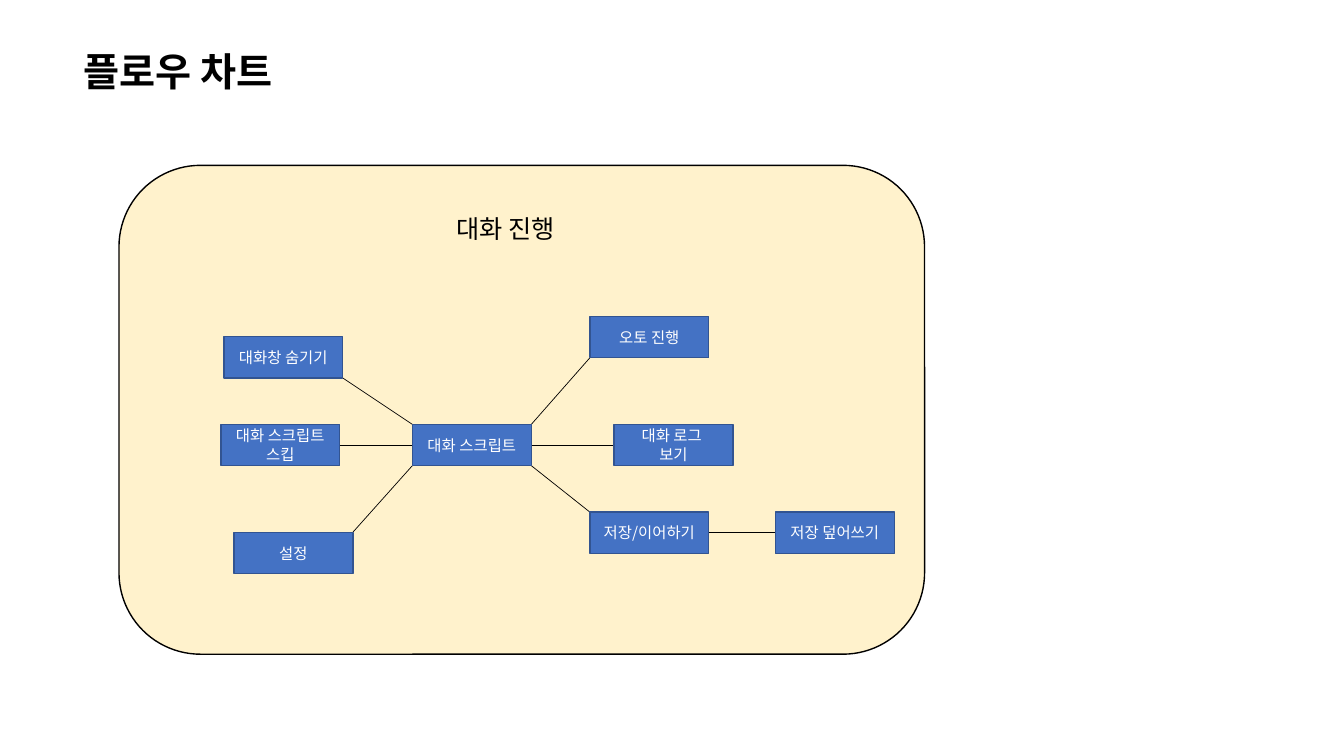
from dataclasses import dataclass

from lxml import etree
from pptx import Presentation
from pptx.dml.color import RGBColor
from pptx.enum import shapes, text
from pptx.oxml import ns
from pptx.util import Inches, Pt


@dataclass(frozen=True)
class Theme:
    ink: str = "000000"
    panel: str = "FFF2CC"
    node: str = "4472C4"
    node_line: str = "325491"
    node_text: str = "FFFFFF"
    title_font: str = "Lato"
    body_font: str = "Noto Sans CJK KR"
    title_size: int = 28
    heading_size: int = 18
    node_size: int = 11


NODE_W, NODE_H = 1.18, 0.41

# Flow nodes: name -> (left, top, lines of text)
NODES = {
    "script": (4.09, 4.21, ["대화 스크립트"]),
    "auto": (5.85, 3.14, ["오토 진행"]),
    "log": (6.09, 4.21, ["대화 로그 ", "보기"]),
    "save": (5.85, 5.08, ["저장/이어하기"]),
    "overwrite": (7.69, 5.08, ["저장 덮어쓰기"]),
    "skip": (2.19, 4.21, ["대화 스크립트 스킵"]),
    "hide": (2.22, 3.34, ["대화창 숨기기"]),
    "settings": (2.32, 5.28, ["설정"]),
}

# Points on a node, as fractions of its width and height
TL, TR, BL, BR = (0, 0), (1, 0), (0, 1), (1, 1)
LEFT, RIGHT = (0, 0.5), (1, 0.5)

LINKS = [
    ("auto", BL, "script", TR),
    ("log", LEFT, "script", RIGHT),
    ("save", TL, "script", BR),
    ("overwrite", LEFT, "save", RIGHT),
    ("skip", RIGHT, "script", LEFT),
    ("hide", BR, "script", TL),
    ("settings", TR, "script", BL),
]


def color(value):
    return RGBColor.from_string(value)


class FlowSlide:
    def __init__(self, prs, theme):
        self.theme = theme
        self.s = prs.slides.add_slide(prs.slide_layouts[5])

    def add_text(self, tf, lines, size, ink, font, bold=False, align=text.PP_ALIGN.LEFT):
        for i, line in enumerate(lines):
            p = tf.paragraphs[0] if i == 0 else tf.add_paragraph()
            p.alignment = align
            r = p.add_run()
            r.text = line
            r.font.size, r.font.bold = Pt(size), bold
            r.font.color.rgb = color(ink)
            r.font.name = font
            # Hangul takes the East Asian font
            ea = etree.SubElement(r.font._element, ns.qn("a:ea"))
            ea.set("typeface", self.theme.body_font)

    def title(self, left, top, width, height, line):
        sp = self.s.shapes.title
        sp.left, sp.top, sp.width, sp.height = map(Inches, (left, top, width, height))
        tf = sp.text_frame
        tf.word_wrap = True
        tf.auto_size = text.MSO_AUTO_SIZE.NONE
        tf.vertical_anchor = text.MSO_ANCHOR.TOP
        t = self.theme
        self.add_text(tf, [line], t.title_size, t.ink, t.title_font, bold=True)

    def heading(self, left, top, width, height, line):
        sp = self.s.shapes.add_textbox(*map(Inches, (left, top, width, height)))
        sp.text_frame.word_wrap = True
        t = self.theme
        self.add_text(sp.text_frame, [line], t.heading_size, t.ink, t.body_font)

    def box(self, kind, left, top, width, height, fill, line):
        sp = self.s.shapes.add_shape(kind, *map(Inches, (left, top, width, height)))
        sp.shadow.inherit = False
        sp.fill.solid()
        sp.fill.fore_color.rgb = color(fill)
        sp.line.color.rgb = color(line)
        sp.line.width = Pt(1)
        return sp

    def node(self, left, top, lines):
        t = self.theme
        sp = self.box(shapes.MSO_SHAPE.RECTANGLE, left, top, NODE_W, NODE_H,
                      t.node, t.node_line)
        tf = sp.text_frame
        tf.word_wrap = True
        tf.vertical_anchor = text.MSO_ANCHOR.MIDDLE
        self.add_text(tf, lines, t.node_size, t.node_text, t.body_font,
                      align=text.PP_ALIGN.CENTER)

    def link(self, start, end):
        line = self.s.shapes.add_connector(shapes.MSO_CONNECTOR.STRAIGHT,
                                           *map(Inches, (*start, *end)))
        line.line.color.rgb = color(self.theme.ink)
        line.line.width = Pt(0.5)
        etree.SubElement(line._element.spPr, ns.qn("a:effectLst"))


def node_point(name, spot):
    left, top, _ = NODES[name]
    return left + spot[0] * NODE_W, top + spot[1] * NODE_H


def main():
    prs = Presentation()
    prs.slide_width, prs.slide_height = Inches(13.33), Inches(7.5)
    theme = Theme()
    flow = FlowSlide(prs, theme)

    # Title and panel
    flow.title(0.73, 0.42, 2.47, 0.57, "플로우 차트")
    flow.box(shapes.MSO_SHAPE.ROUNDED_RECTANGLE, 1.18, 1.64, 7.99, 4.85,
             theme.panel, theme.ink)
    flow.heading(4.43, 2.07, 1.49, 0.4, "대화 진행")

    # Links and nodes
    for a, spot_a, b, spot_b in LINKS:
        flow.link(node_point(a, spot_a), node_point(b, spot_b))
    for left, top, lines in NODES.values():
        flow.node(left, top, lines)

    prs.save("out.pptx")


if __name__ == "__main__":
    main()
